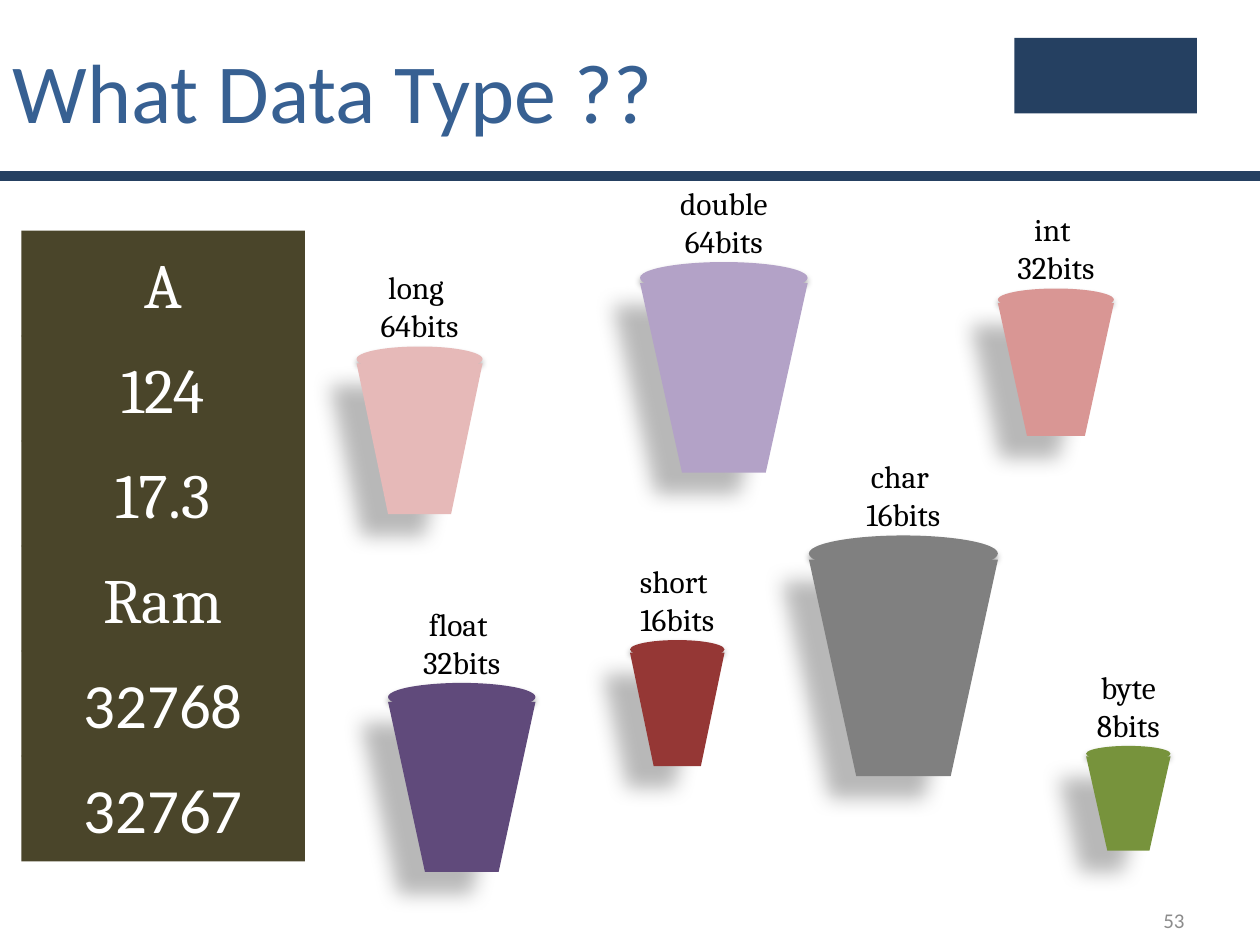
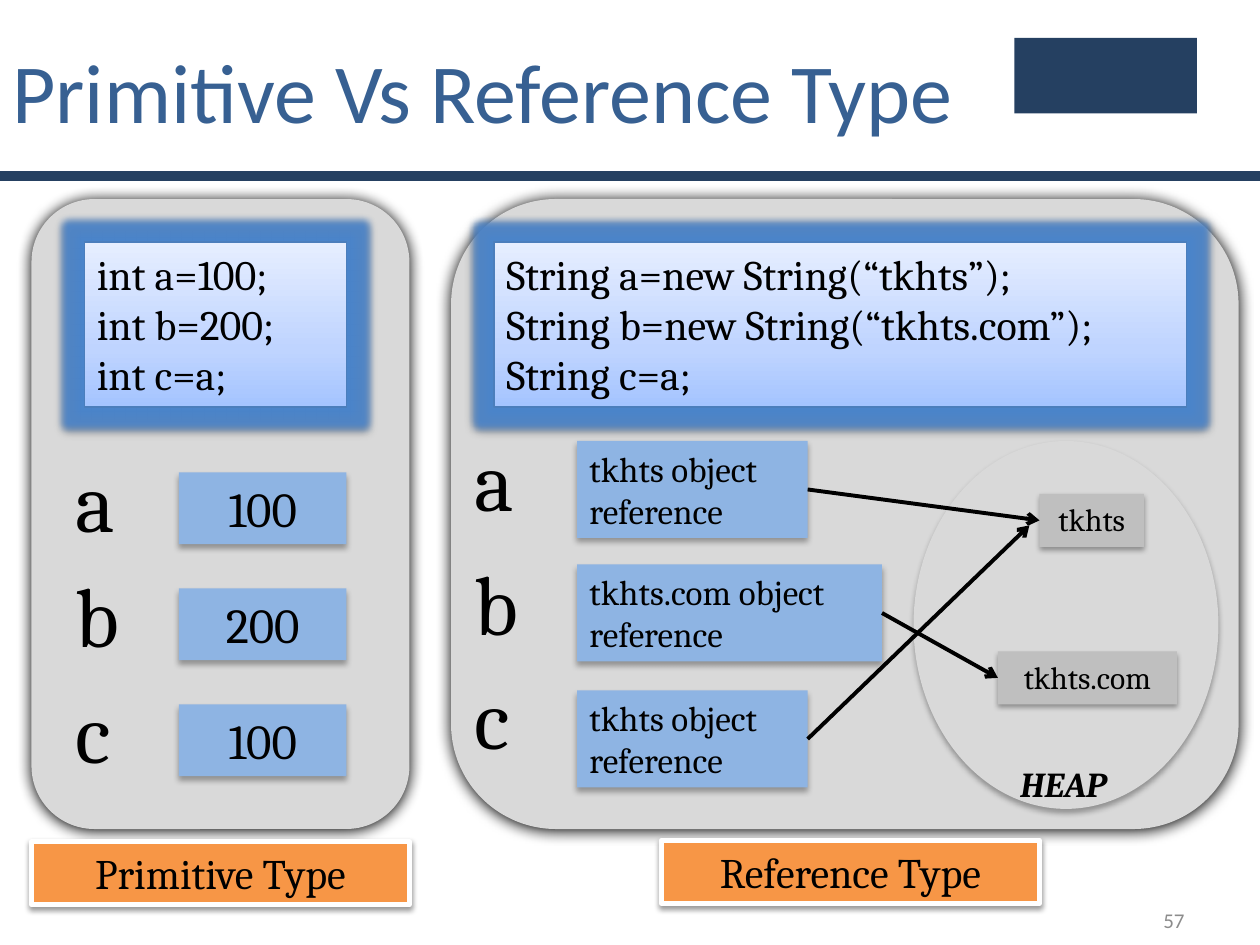
from lxml import etree
from pptx import Presentation
from pptx.dml.color import RGBColor
from pptx.enum import shapes, text
from pptx.oxml import parse_xml
from pptx.oxml.ns import qn
from pptx.util import Inches, Pt

NAVY = RGBColor(0x25, 0x40, 0x61)
TITLE_BLUE = RGBColor(0x37, 0x60, 0x92)
PAGE_GREY = RGBColor(0x8C, 0x8C, 0x8C)
BLACK = RGBColor(0, 0, 0)
WHITE = RGBColor(0xFF, 0xFF, 0xFF)
OLIVE = RGBColor(0x4A, 0x45, 0x2A)
GREEN = RGBColor(0x77, 0x93, 0x3C)
RED = RGBColor(0x95, 0x37, 0x35)
ROSE = RGBColor(0xD9, 0x96, 0x94)
PINK = RGBColor(0xE6, 0xB9, 0xB8)
PURPLE = RGBColor(0x60, 0x4A, 0x7B)
LILAC = RGBColor(0xB3, 0xA2, 0xC7)
DARK_GREY = RGBColor(0x80, 0x80, 0x80)
PANEL_GREY = RGBColor(0xD9, 0xD9, 0xD9)
HEAP_GREY = RGBColor(0xBF, 0xBF, 0xBF)
SKY = RGBColor(0x8E, 0xB4, 0xE3)
ORANGE = RGBColor(0xF7, 0x96, 0x46)
CODE_FILL = RGBColor(0xBF, 0xD4, 0xFF)
CODE_LINE = RGBColor(0x4B, 0x7E, 0xBC)
GLOW = RGBColor(0x4A, 0x84, 0xCB)

RECT = shapes.MSO_SHAPE.RECTANGLE
OVAL = shapes.MSO_SHAPE.OVAL
ROUNDED = shapes.MSO_SHAPE.ROUNDED_RECTANGLE
TRAPEZOID = shapes.MSO_SHAPE.TRAPEZOID
LEFT, CENTER, RIGHT = text.PP_ALIGN.LEFT, text.PP_ALIGN.CENTER, text.PP_ALIGN.RIGHT
TOP, MIDDLE = text.MSO_ANCHOR.TOP, text.MSO_ANCHOR.MIDDLE

# Shadows: opacity %, blur pt, distance pt, direction in degrees
SOFT = (32, 3.5, 2.2, 90)
CAST = (28, 11.8, 19.7, 141)
HALO = (100, 8.5, 1, 90)
EDGE = (38, 3.1, 1.6, 90)
TAG = (35, 3.1, 1.8, 90)

GRADIENT = parse_xml(
    '<a:gradFill xmlns:a="http://schemas.openxmlformats.org/drawingml/2006/main" rotWithShape="1">'
    '<a:gsLst><a:gs pos="0"><a:srgbClr val="A4C4FF"/></a:gs>'
    '<a:gs pos="35000"><a:srgbClr val="BFD4FF"/></a:gs>'
    '<a:gs pos="100000"><a:srgbClr val="E6EEFF"/></a:gs></a:gsLst>'
    '<a:lin ang="16200000" scaled="1"/></a:gradFill>')


def add_block(page, kind, at, fill, shadow=None, line=None, weight=0):
    block = page.shapes.add_shape(kind, *map(Inches, at))
    block.fill.solid()
    block.fill.fore_color.rgb = fill
    if line is None:
        block.line.fill.background()
    else:
        block.line.color.rgb = line
        block.line.width = Pt(weight)
    block.shadow.inherit = False
    if shadow:
        opacity, blur, distance, angle = shadow
        effects = block._element.spPr.find(qn("a:effectLst"))
        outer = etree.SubElement(effects, qn("a:outerShdw"), blurRad=str(Pt(blur)),
                                 dist=str(Pt(distance)), dir=str(angle * 60000),
                                 rotWithShape="0")
        color = etree.SubElement(outer, qn("a:srgbClr"), val="000000")
        etree.SubElement(color, qn("a:alpha"), val=str(opacity * 1000))
    return block


def write(box, lines, size, color=BLACK, font="Cambria", align=LEFT, anchor=TOP,
          bold=False, italic=False):
    frame = box.text_frame
    frame.word_wrap = True
    frame.vertical_anchor = anchor
    for i, line in enumerate(lines):
        para = frame.add_paragraph() if i else frame.paragraphs[0]
        para.text = line
        para.alignment = align
        para.font.size = Pt(size)
        para.font.name = font
        para.font.color.rgb = color
        para.font.bold = bold
        para.font.italic = italic


deck = Presentation()
deck.slide_width, deck.slide_height = Inches(10), Inches(7.5)

# Shared header with a plain plate, title and page number
pages = []
for title, number in [("What Data Type ??", "53"), ("Primitive Vs Reference Type", "57")]:
    page = deck.slides.add_slide(deck.slide_layouts[6])
    add_block(page, RECT, (0, 1.37, 10, 0.05), NAVY, line=NAVY, weight=2)
    add_block(page, RECT, (8.05, 0.3, 1.45, 0.6), NAVY)
    box = page.shapes.add_textbox(*map(Inches, (0, 0, 8.58, 1.42)))
    write(box, [title], 48, TITLE_BLUE, "Calibri", anchor=MIDDLE)
    box = page.shapes.add_textbox(*map(Inches, (7.17, 7.1, 2.33, 0.4)))
    write(box, [number], 12, PAGE_GREY, "Calibri", RIGHT, MIDDLE)
    pages.append(page)
types_page, memory_page = pages

# Buckets, one for each data type
buckets = [
    ("byte", "8bits", 8.62, 5.92, 0.67, 0.83, GREEN),
    ("short ", "16bits", 5, 5.08, 0.75, 1, RED),
    ("int ", "32bits", 7.92, 2.29, 0.92, 1.17, ROSE),
    ("long ", "64bits", 2.83, 2.75, 1, 1.33, PINK),
    ("float ", "32bits", 3.08, 5.42, 1.17, 1.5, PURPLE),
    ("double", "64bits", 5.08, 2.08, 1.33, 1.67, LILAC),
    ("char ", "16bits", 6.42, 4.25, 1.5, 1.91, DARK_GREY),
]
for name, bits, left, top, width, height, color in buckets:
    add_block(types_page, OVAL, (left, top, width, 0.15 * height), color, SOFT)
    body = add_block(types_page, TRAPEZOID, (left, top + 0.1 * height, width, 0.9 * height),
                     color, CAST)
    body.rotation = 180
    label_width = max(width, 0.92)
    label_left = left + (width - label_width) / 2
    label = types_page.shapes.add_textbox(
        *map(Inches, (label_left, top - 0.67, label_width, 0.71)))
    write(label, [name, bits], 18, align=CENTER)

# Column of sample values, overlapping slightly so that no seams show
for i, value in enumerate(["A", "124", "17.3", "Ram", "32768", "32767"]):
    cell = add_block(types_page, RECT, (0.17, 1.83 + i * 5 / 6, 2.25, 0.84), OLIVE)
    font = "Cambria" if i < 4 else "Calibri"
    write(cell, [value], 36, WHITE, font, CENTER, MIDDLE)

# Panels with their code and caption
primitive_code = ["int a=100;", "int b=200;", "int c=a;"]
reference_code = ["String a=new String(“tkhts”);", "String b=new String(“tkhts.com”);",
                  "String c=a;"]
panels = [
    (0.25, 3, 0.67, 2.08, primitive_code, "Primitive Type", 0.25, 6.68),
    (3.58, 6.25, 3.92, 5.5, reference_code, "Reference Type", 5.25, 6.67),
]
for left, width, code_left, code_width, code, caption, caption_left, caption_top in panels:
    add_block(memory_page, ROUNDED, (left, 1.58, width, 5), PANEL_GREY, HALO)
    listing = add_block(memory_page, RECT, (code_left, 1.92, code_width, 1.31),
                        CODE_FILL, EDGE, CODE_LINE, 0.75)
    properties = listing._element.spPr
    properties.replace(properties.find(qn("a:solidFill")), parse_xml(etree.tostring(GRADIENT)))
    glow = etree.Element(qn("a:glow"), rad=str(Pt(8)))
    glow_color = etree.SubElement(glow, qn("a:srgbClr"), val=str(GLOW))
    etree.SubElement(glow_color, qn("a:alpha"), val="90000")
    properties.find(qn("a:effectLst")).insert(0, glow)
    write(listing, code, 24)
    plate = add_block(memory_page, RECT, (caption_left, caption_top, 3, 0.5),
                      ORANGE, EDGE, WHITE, 3)
    write(plate, [caption], 24, align=CENTER)

# Variable names in both panels
for left, tops in [(0.5, (3.51, 4.42, 5.34)), (3.67, (3.34, 4.33, 5.23))]:
    for variable, top in zip("abc", tops):
        box = memory_page.shapes.add_textbox(*map(Inches, (left, top, 0.58, 0.91)))
        write(box, [variable], 48)

# Primitive values
for i, value in enumerate(["100", "200", "100"]):
    cell = add_block(memory_page, RECT, (1.42, 3.75 + 0.92 * i, 1.33, 0.57), SKY, SOFT)
    write(cell, [value], 28, align=CENTER)

# References
references = []
for name, top, width in [("tkhts", 3.5, 1.83), ("tkhts.com", 4.48, 2.42), ("tkhts", 5.48, 1.83)]:
    cell = add_block(memory_page, RECT, (4.58, top, width, 0.77), SKY, SOFT)
    write(cell, [name + " object", "reference"], 20)
    references.append(cell)

# Heap and its objects
add_block(memory_page, OVAL, (7.25, 3.5, 2.42, 2.92), PANEL_GREY, SOFT)
heap_objects = []
for name, left, top, width in [("tkhts", 8.25, 3.92, 0.83), ("tkhts.com", 7.92, 5.17, 1.42)]:
    tag = add_block(memory_page, RECT, (left, top, width, 0.42), HEAP_GREY, TAG)
    write(tag, [name], 18, align=CENTER)
    heap_objects.append(tag)
box = memory_page.shapes.add_textbox(*map(Inches, (8, 6, 1.17, 0.44)))
write(box, ["HEAP"], 20, bold=True, italic=True)

# Arrows from references to heap objects; the last one stops just short of its object
for reference, target in zip(references, heap_objects + [None]):
    arrow = memory_page.shapes.add_connector(
        shapes.MSO_CONNECTOR.STRAIGHT, Inches(6.42), Inches(5.86), Inches(8.17), Inches(4.17))
    arrow.begin_connect(reference, 3)
    if target is not None:
        arrow.end_connect(target, 1)
    arrow.line.color.rgb = BLACK
    arrow.line.width = Pt(2.25)
    etree.SubElement(arrow.line._get_or_add_ln(), qn("a:tailEnd"), type="arrow")
    etree.SubElement(arrow._element.spPr, qn("a:effectLst"))

deck.save("out.pptx")
